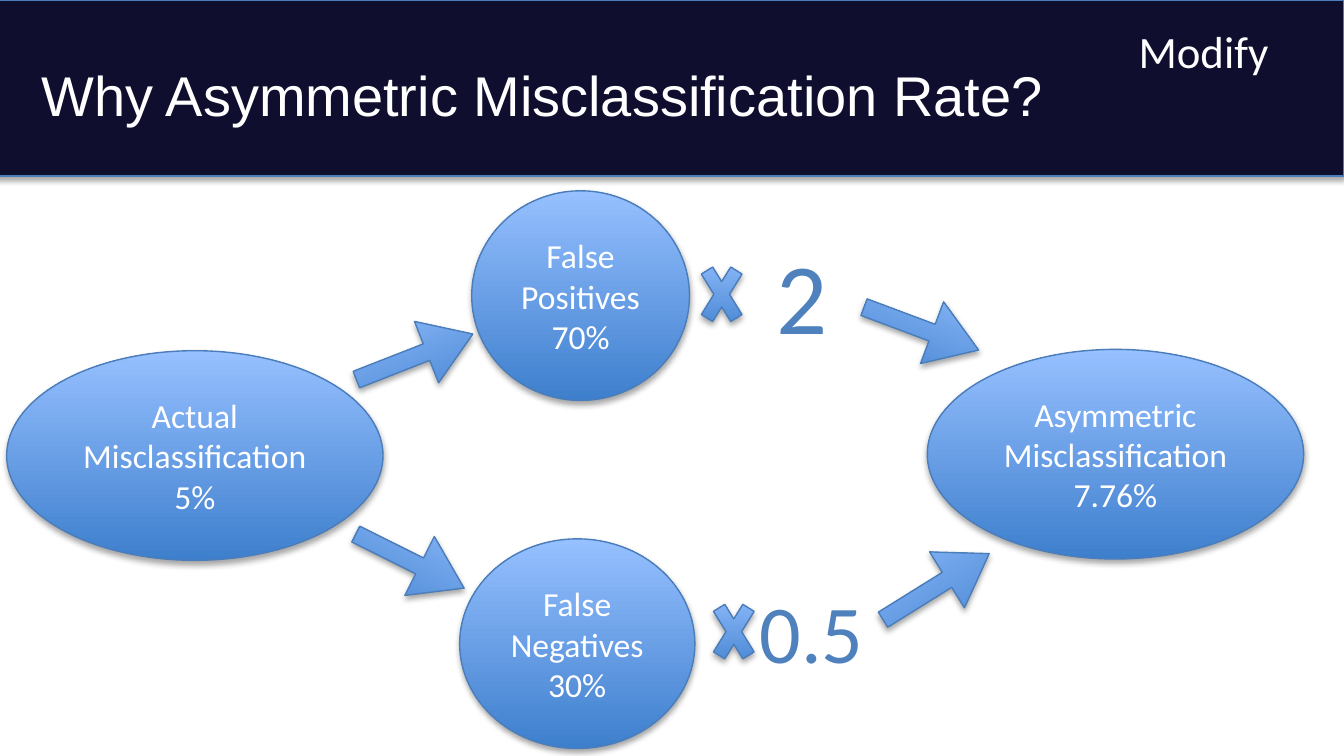
from typing import NamedTuple

from lxml import etree
from pptx import Presentation
from pptx import util as u
from pptx.dml import color
from pptx.enum import shapes, text
from pptx.oxml import ns

SHAPE = shapes.MSO_SHAPE
ALIGN = text.PP_ALIGN
ANCHOR = text.MSO_ANCHOR
SLIDE_WIDTH = 10
SLIDE_HEIGHT = SLIDE_WIDTH * 9 / 16
NAVY, WHITE, BLUE = "100E2F", "FFFFFF", "4F81BD"
OUTLINE, DEEP_BLUE, LIGHT_BLUE = "4A7DBA", "3E7FCD", "96C0FF"


class Area(NamedTuple):
    left: float
    top: float
    width: float
    height: float


class Bubble(NamedTuple):
    area: Area
    label: str
    rate: str


class Arrow(NamedTuple):
    area: Area
    rotation: float


class Label(NamedTuple):
    area: Area
    words: str
    size: float
    shade: str = WHITE
    font: str = "Calibri"
    align: ALIGN = ALIGN.CENTER
    anchor: ANCHOR = ANCHOR.TOP


BUBBLES = [
    Bubble(Area(0.05, 2.61, 2.8, 1.56), "Actual Misclassification", "5%"),
    Bubble(Area(3.51, 1.42, 1.62, 1.56), "False Positives", "70%"),
    Bubble(Area(3.42, 4.01, 1.75, 1.56), "False Negatives", "30%"),
    Bubble(Area(6.9, 2.6, 2.8, 1.56), "Asymmetric Misclassification", "7.76%"),
]
ARROWS = [
    Arrow(Area(2.6, 3.93, 0.9, 0.49), 26.5),
    Arrow(Area(2.62, 2.41, 0.93, 0.49), 338.6),
    Arrow(Area(6.4, 2.2, 0.91, 0.49), 20.5),
    Arrow(Area(6.5, 4.12, 0.93, 0.49), 328.1),
]
TIMES_SIGNS = [Area(5.16, 1.85, 0.42, 0.68), Area(5.25, 4.36, 0.42, 0.68)]
LABELS = [
    Label(Area(0.21, 0.23, 9.29, 0.94), "Why Asymmetric Misclassification Rate?",
          30, font="Arial", align=ALIGN.LEFT, anchor=ANCHOR.MIDDLE),
    Label(Area(5.67, 1.69, 0.59, 1.01), "2", 54, BLUE),
    Label(Area(5.54, 4.28, 1, 0.84), "0.5", 44, BLUE),
    Label(Area(8.34, 0.13, 1.23, 0.5), "Modify", 24),
]


def rgb(value: str) -> color.RGBColor:
    return color.RGBColor.from_string(value)


def place(area: Area) -> list:
    return [u.Inches(length) for length in area]


def add_shadow(shape) -> None:
    shape.shadow.inherit = False
    effects = shape._element.spPr.find(ns.qn("a:effectLst"))
    shadow = etree.SubElement(effects, ns.qn("a:outerShdw"), blurRad="40000",
                              dist="23000", dir="5400000", rotWithShape="0")
    black = etree.SubElement(shadow, ns.qn("a:srgbClr"), val="000000")
    etree.SubElement(black, ns.qn("a:alpha"), val="35000")


def add_block(page, kind: SHAPE, area: Area, solid: str = "",
              adjustments: tuple = ()):
    shape = page.shapes.add_shape(kind, *place(area))
    for index, value in enumerate(adjustments):
        shape.adjustments[index] = value
    if solid:
        shape.fill.solid()
        shape.fill.fore_color.rgb = rgb(solid)
    else:
        shape.fill.gradient()
        shape.fill.gradient_angle = 90
        for stop, shade in zip(shape.fill.gradient_stops, (DEEP_BLUE, LIGHT_BLUE)):
            stop.color.rgb = rgb(shade)
    shape.line.color.rgb = rgb(OUTLINE)
    shape.line.width = u.Pt(0.75)
    add_shadow(shape)
    return shape


def write(frame, lines: list[str], size: float, shade: str, font: str,
          align: ALIGN, anchor: ANCHOR) -> None:
    frame.word_wrap = True
    frame.vertical_anchor = anchor
    formats = {"name": font, "size": u.Pt(size)}
    for index, line in enumerate(lines):
        para = frame.add_paragraph() if index else frame.paragraphs[0]
        para.alignment = align
        span = para.add_run()
        span.text = line
        for name, value in formats.items():
            setattr(span.font, name, value)
        span.font.color.rgb = rgb(shade)


def add_bubble(page, bubble: Bubble) -> None:
    shape = add_block(page, SHAPE.OVAL, bubble.area)
    write(shape.text_frame, [bubble.label, bubble.rate], 18, WHITE, "Calibri",
          ALIGN.CENTER, ANCHOR.MIDDLE)


def add_arrow(page, arrow: Arrow) -> None:
    shape = add_block(page, SHAPE.RIGHT_ARROW, arrow.area,
                      adjustments=(0.268, 0.753))
    shape.rotation = arrow.rotation


def add_label(page, label: Label) -> None:
    box = page.shapes.add_textbox(*place(label.area))
    write(box.text_frame, [label.words], label.size, label.shade, label.font,
          label.align, label.anchor)


def main() -> None:
    deck = Presentation()
    deck.slide_width = u.Inches(SLIDE_WIDTH)
    deck.slide_height = u.Inches(SLIDE_HEIGHT)
    page = deck.slides.add_slide(deck.slide_layouts[6])
    add_block(page, SHAPE.RECTANGLE, Area(-0.04, 0, 10.04, 1.31), NAVY)
    for bubble in BUBBLES:
        add_bubble(page, bubble)
    for arrow in ARROWS:
        add_arrow(page, arrow)
    for area in TIMES_SIGNS:
        add_block(page, SHAPE.MATH_MULTIPLY, area, adjustments=(0.235,))
    for label in LABELS:
        add_label(page, label)
    deck.save("out.pptx")


if __name__ == "__main__":
    main()
